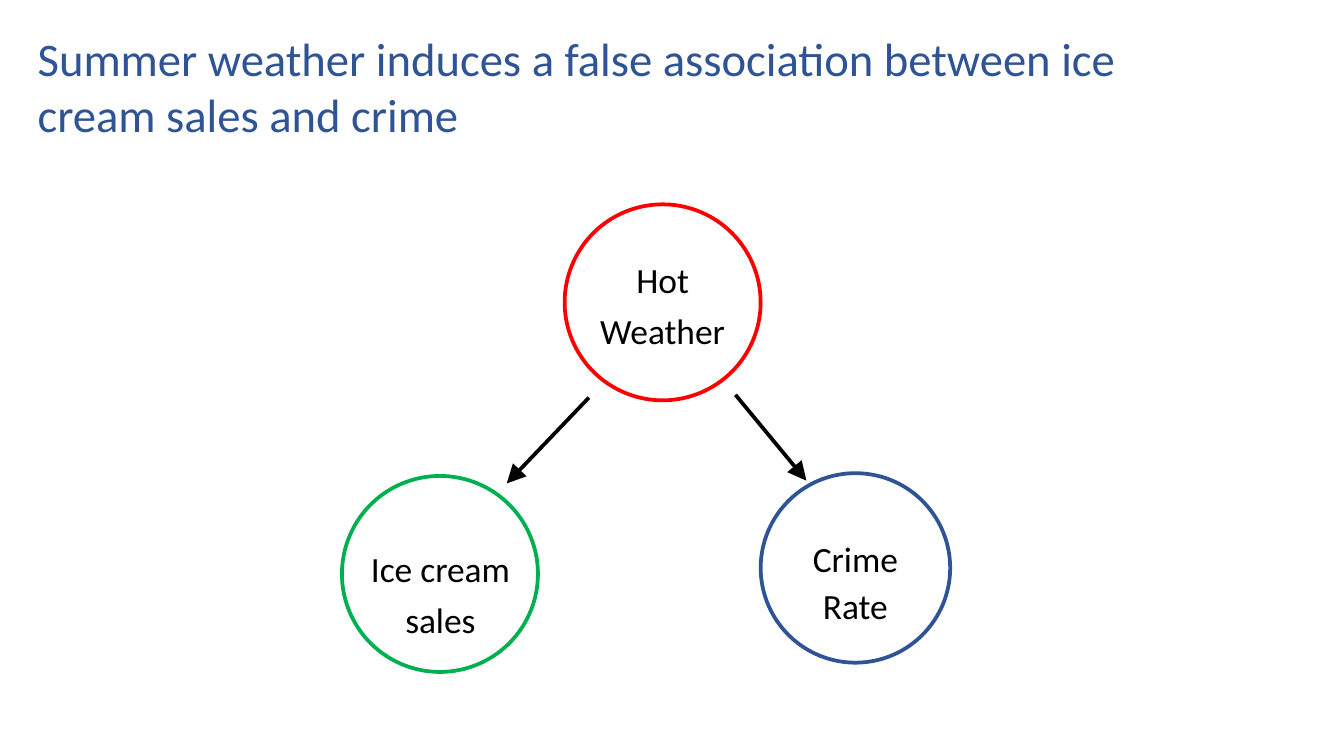
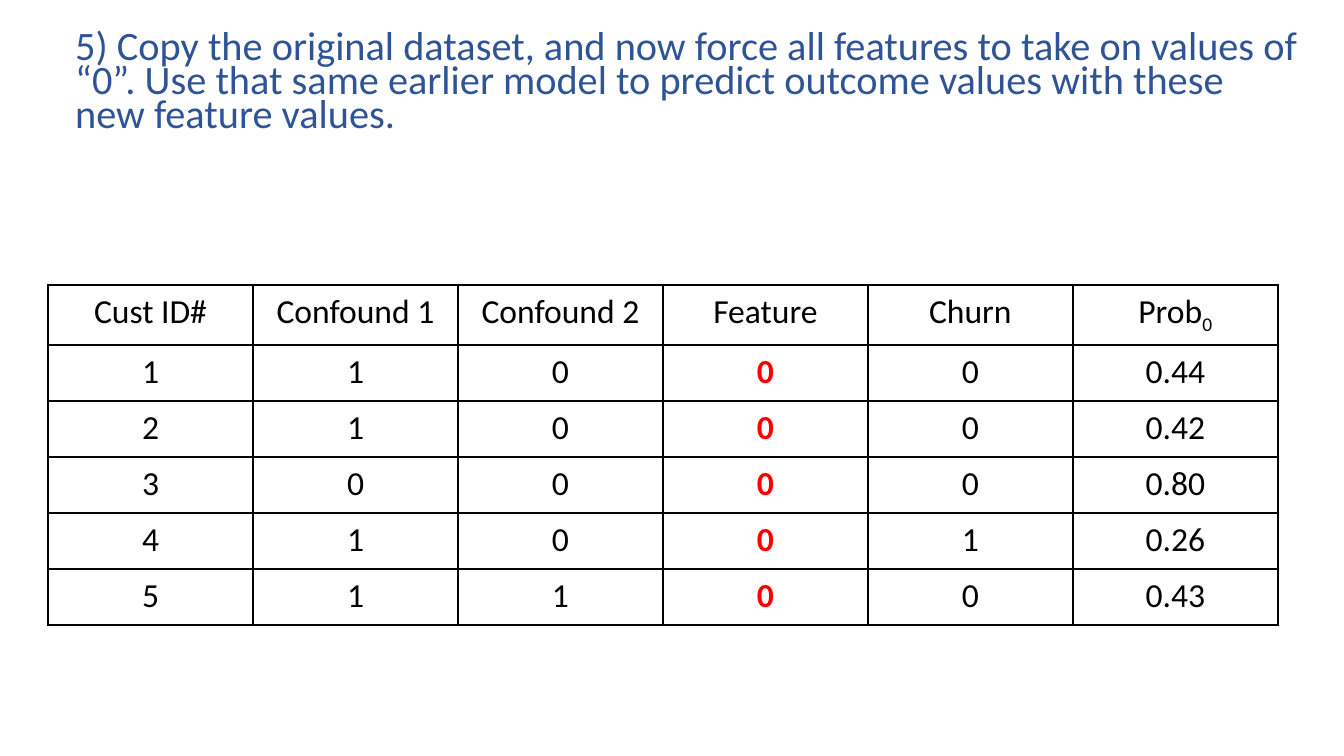
from lxml import etree
from pptx import Presentation
from pptx.dml.color import RGBColor
from pptx.enum.shapes import MSO_CONNECTOR, MSO_SHAPE
from pptx.enum.text import MSO_ANCHOR, MSO_AUTO_SIZE, PP_ALIGN
from pptx.oxml.ns import qn
from pptx.util import Pt

LEFT, CENTER = PP_ALIGN.LEFT, PP_ALIGN.CENTER
TOP, NO_FIT = MSO_ANCHOR.TOP, MSO_AUTO_SIZE.NONE
ELLIPSE, STRAIGHT = MSO_SHAPE.OVAL, MSO_CONNECTOR.STRAIGHT

BLUE = RGBColor(0x2F, 0x54, 0x96)
GREEN = RGBColor(0x00, 0xB0, 0x50)
RED = RGBColor(0xFF, 0x00, 0x00)
BLACK = RGBColor(0x00, 0x00, 0x00)

FONT = "Calibri"
TITLE_ONLY = 5


def write(tf, text, size=18, color=BLACK, bold=False, align=CENTER, spacing=1.0, sub=""):
    p = tf.paragraphs[0]
    p.alignment = align
    p.line_spacing = spacing
    for part in filter(None, (text, sub)):
        r = p.add_run()
        r.text = part
        r.font.name = FONT
        r.font.size = Pt(size)
        r.font.bold = bold
        r.font.color.rgb = color
    if sub:
        r.font._element.set("baseline", "-25000")


def set_frame(tf, pad_x, pad_y):
    tf.word_wrap = True
    tf.auto_size = NO_FIT
    tf.vertical_anchor = TOP
    tf.margin_left = tf.margin_right = Pt(pad_x)
    tf.margin_top = tf.margin_bottom = Pt(pad_y)


class Deck:
    line_width = 2
    border_width = 0.96
    label_size = 19

    def __init__(self):
        self.prs = Presentation()
        self.prs.slide_width, self.prs.slide_height = Pt(720), Pt(405)
        self.s = None

    def slide(self, title, box, size, spacing=1.0):
        self.s = self.prs.slides.add_slide(self.prs.slide_layouts[TITLE_ONLY])
        sp = self.s.shapes.title
        sp.left, sp.top, sp.width, sp.height = map(Pt, box)
        set_frame(sp.text_frame, 5, 5)
        write(sp.text_frame, title, size=size, color=BLUE, align=LEFT, spacing=spacing)

    def circle(self, x, y, d, color):
        sp = self.s.shapes.add_shape(ELLIPSE, Pt(x), Pt(y), Pt(d), Pt(d))
        sp.shadow.inherit = False
        sp.fill.background()
        sp.line.color.rgb = color
        sp.line.width = Pt(self.line_width)

    def label(self, text, x, y, w, h, spacing):
        tf = self.s.shapes.add_textbox(Pt(x), Pt(y), Pt(w), Pt(h)).text_frame
        set_frame(tf, 5, 2.5)
        write(tf, text, size=self.label_size, spacing=spacing)

    def arrow(self, x1, y1, x2, y2):
        c = self.s.shapes.add_connector(STRAIGHT, Pt(x1), Pt(y1), Pt(x2), Pt(y2))
        c.line.color.rgb = BLACK
        c.line.width = Pt(self.line_width)
        etree.SubElement(c.line._get_or_add_ln(), qn("a:tailEnd"),
                         type="triangle", w="lg", len="lg")
        etree.SubElement(c._element.spPr, qn("a:effectLst"))

    def border(self, cell):
        tcPr = cell._tc.get_or_add_tcPr()
        for side in ("lnL", "lnR", "lnT", "lnB"):
            ln = etree.SubElement(tcPr, qn(f"a:{side}"), w=str(Pt(self.border_width)))
            fill = etree.SubElement(ln, qn("a:solidFill"))
            etree.SubElement(fill, qn("a:srgbClr"), val=str(BLACK))

    def table(self, header, rows, x, y, col_w, head_h, row_h, red_col, sub):
        data = [header, *rows]
        w, h = col_w * len(header), head_h + row_h * len(rows)
        tbl = self.s.shapes.add_table(len(data), len(header), Pt(x), Pt(y), Pt(w), Pt(h)).table
        tbl.first_row = tbl.horz_banding = False
        for col in tbl.columns:
            col.width = Pt(col_w)
        for i, values in enumerate(data):
            tbl.rows[i].height = Pt(row_h if i else head_h)
            for j, value in enumerate(values):
                cell = tbl.cell(i, j)
                cell.margin_left = cell.margin_right = Pt(5)
                cell.margin_top = cell.margin_bottom = Pt(3.6)
                self.border(cell)
                cell.fill.background()
                red = i > 0 and j == red_col
                write(cell.text_frame, value, color=RED if red else BLACK, bold=red,
                      sub=sub.get(value, ""))


def main():
    deck = Deck()

    deck.slide("Summer weather induces a false association between ice cream sales and crime",
               (15.2, 11, 621, 45), size=25)
    deck.circle(183.2, 255, 105, GREEN)
    deck.label("Ice cream sales", 185.2, 286, 101.5, 42.5, spacing=1.2)
    deck.circle(407.5, 253.5, 101.5, BLUE)
    deck.label("Crime Rate", 421.2, 283, 74, 42.5, spacing=1.1)
    deck.arrow(315.5, 213, 271.5, 259)
    deck.circle(302.5, 109.5, 105, RED)
    deck.label("Hot Weather", 313, 131, 84, 61, spacing=1.2)
    deck.arrow(394, 211.5, 432, 257.5)

    deck.slide("5) Copy the original dataset, and now force all features to take on values of "
               "“0”. Use that same earlier model to predict outcome values with these new "
               "feature values.", (35.3, 13, 667.5, 44), size=21.6, spacing=0.7)
    header = ["Cust ID#", "Confound 1", "Confound 2", "Feature", "Churn", "Prob"]
    customers = [
        ["1", "1", "0", "0", "0", "0.44"],
        ["2", "1", "0", "0", "0", "0.42"],
        ["3", "0", "0", "0", "0", "0.80"],
        ["4", "1", "0", "0", "1", "0.26"],
        ["5", "1", "1", "0", "0", "0.43"],
    ]
    deck.table(header, customers, x=25.8, y=152.6, col_w=109.8, head_h=32.2, row_h=30,
               red_col=header.index("Feature"), sub={"Prob": "0"})

    deck.prs.save("out.pptx")


if __name__ == "__main__":
    main()
